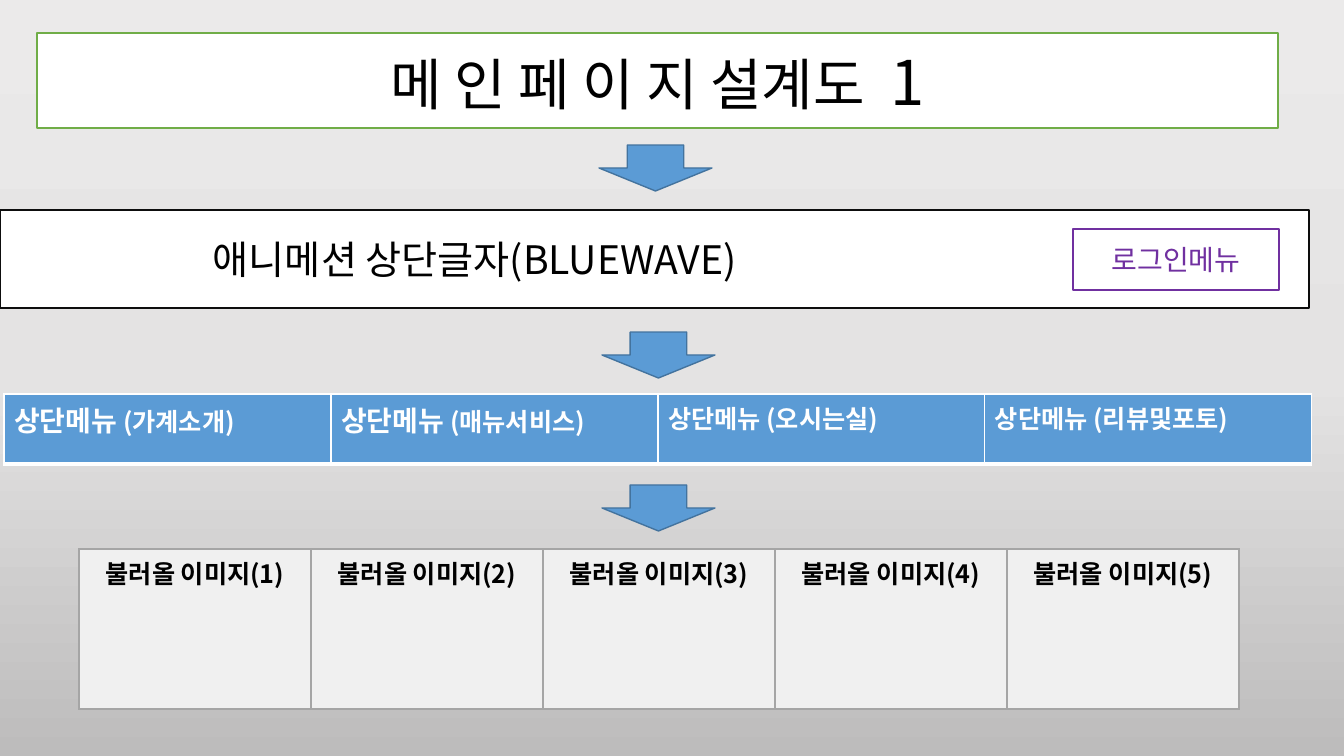
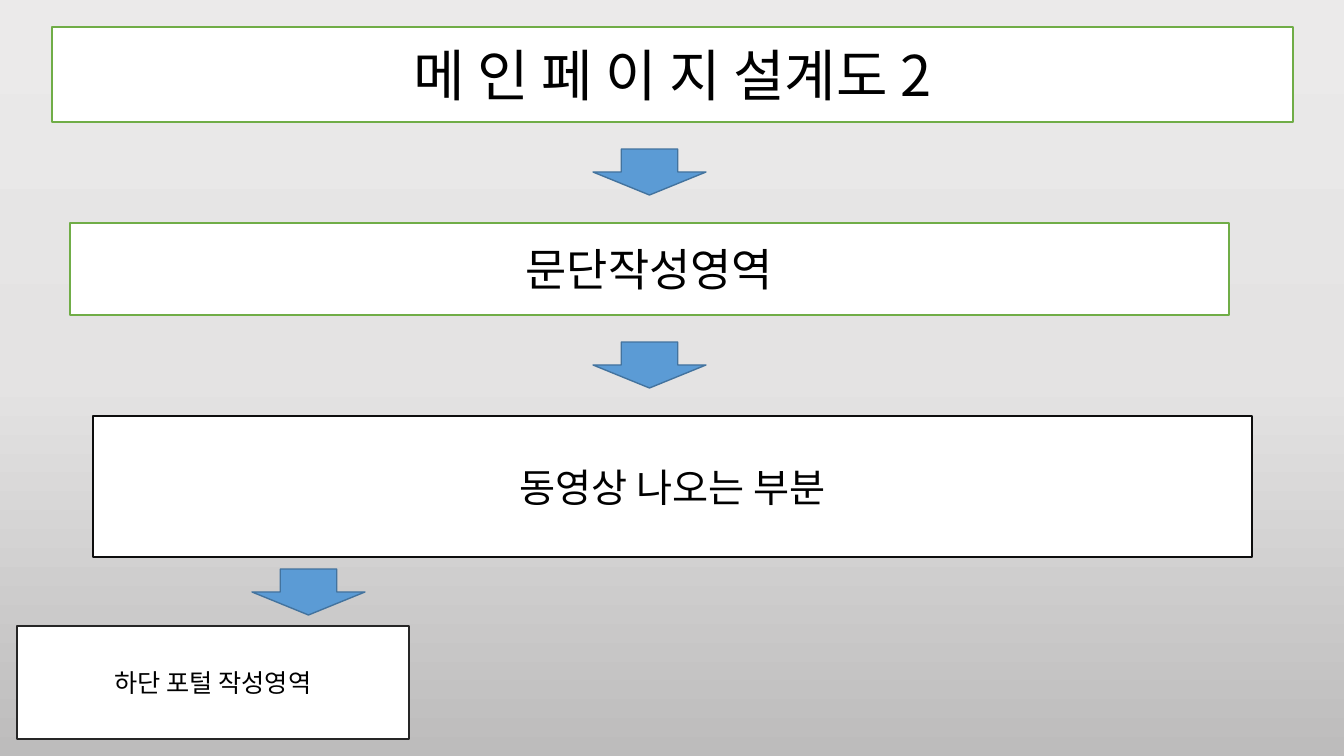
from copy import deepcopy

from lxml import etree
from pptx import Presentation
from pptx.dml.color import RGBColor
from pptx.enum.shapes import MSO_SHAPE
from pptx.enum.text import MSO_ANCHOR, PP_ALIGN
from pptx.oxml.ns import qn
from pptx.util import Pt

RECT, ARROW = MSO_SHAPE.RECTANGLE, MSO_SHAPE.DOWN_ARROW
LEFT, CENTER = PP_ALIGN.LEFT, PP_ALIGN.CENTER
MIDDLE = MSO_ANCHOR.MIDDLE

FACE = "Noto Sans CJK KR"
WHITE, BLACK, INK, DARK = "FFFFFF", "000000", "0D0D0D", "262626"
GREEN, PURPLE, BLUE, NAVY = "70AD47", "7030A0", "5B9BD5", "43739E"
PALE, GRAY = "F0F0F0", "A5A5A5"
STOPS = ((0, "EBEAEA"), (0.5, "E4E3E3"), (1, "BDBCBC"))
WIDE, HIGH = 1344, 756
TITLE = "메 인 페 이 지 설계도"


def px(n):
    return round(n * 12192000 / WIDE)


def rgb(code):
    return RGBColor.from_string(code)


def paint(master):
    """Give the master its gradient, top to bottom."""
    fill = master.background.fill
    fill.gradient()
    fill.gradient_angle = 270
    stops = master.element.find(".//" + qn("a:gsLst"))
    stops.append(deepcopy(stops[-1]))
    for stop, (place, code) in zip(fill.gradient_stops, STOPS):
        stop.position = place
        stop.color.rgb = rgb(code)


def write(frame, runs, size, color=BLACK, align=CENTER, bold=False):
    """Fill one paragraph; each run is (text, own size or None, spacing)."""
    frame.word_wrap = True
    para = frame.paragraphs[0]
    para.alignment = align
    font = para.font
    font.size, font.bold, font.name = Pt(size), bold, FACE
    font.color.rgb = rgb(color)
    etree.SubElement(font._element, qn("a:ea"), typeface=FACE)
    for text, own, gap in runs:
        run = para.add_run()
        run.text = text
        if own:
            run.font.size = Pt(own)
        if gap:
            run.font._element.set("spc", str(gap * 100))


def plain(text):
    return [(text, None, 0)]


def shape(slide, kind, area, fill, line):
    item = slide.shapes.add_shape(kind, *map(px, area))
    item.shadow.inherit = False
    item.fill.solid()
    item.fill.fore_color.rgb = rgb(fill)
    item.line.color.rgb = rgb(line)
    item.line.width = Pt(1)
    return item


def box(slide, area, line, runs, size, color=BLACK, align=CENTER):
    frame = shape(slide, RECT, area, WHITE, line).text_frame
    frame.vertical_anchor = MIDDLE
    write(frame, runs, size, color, align)
    return frame


def title(slide, left, top, runs):
    box(slide, (left, top, 1241, 95), GREEN, runs, 40)


def arrow(slide, left, top):
    shape(slide, ARROW, (left, top, 113, 46), BLUE, NAVY)


def edge(cell, color, base):
    """Draw 1 pt cell borders, with the bottom one base pt wide."""
    props = cell._tc.get_or_add_tcPr()
    for spot, side in enumerate("LRTB"):
        width = Pt(base if side == "B" else 1)
        line = etree.Element(qn("a:ln" + side), w=str(width))
        fill = etree.SubElement(line, qn("a:solidFill"))
        etree.SubElement(fill, qn("a:srgbClr"), val=color)
        props.insert(spot, line)


def row(slide, area, items, fill, line, base, color, align):
    """Add a table of one row with equal columns."""
    table = slide.shapes.add_table(1, len(items), *map(px, area)).table
    table.first_row = table.horz_banding = False
    for col, cell, runs in zip(table.columns, table.rows[0].cells, items):
        col.width = px(area[2] / len(items))
        cell.fill.solid()
        cell.fill.fore_color.rgb = rgb(fill)
        edge(cell, line, base)
        write(cell.text_frame, runs, 18, color, align, True)


def first(slide):
    banner = box(slide, (0, 210, 1309, 98), INK,
                 plain("애니메션 상단글자(BLUEWAVE)"), 28, align=LEFT)
    banner.margin_left = px(213)
    box(slide, (1073, 229, 206, 61), PURPLE, plain("로그인메뉴"), 20, PURPLE)
    menu = [[("상단메뉴", size, 0), (f" ({name})", None, 0)]
            for name, size in (("가계소개", 20), ("매뉴서비스", 20),
                               ("오시는실", None), ("리뷰및포토", None))]
    row(slide, (4, 394, 1308, 70), menu, BLUE, WHITE, 3, WHITE, LEFT)
    views = [plain(f"불러올 이미지({n})") for n in range(1, 6)]
    row(slide, (79, 549, 1160, 160), views, PALE, GRAY, 1, BLACK, CENTER)
    title(slide, 37, 33, [(TITLE, None, 0), (" ", None, 9), ("1", 44, 0)])
    for left, top in ((599, 145), (602, 332), (602, 485)):
        arrow(slide, left, top)


def second(slide):
    title(slide, 52, 27, plain(TITLE + " 2"))
    for area, line, text, size in (
            ((70, 223, 1159, 92), GREEN, "문단작성영역", 32),
            ((93, 416, 1159, 141), INK, "동영상 나오는 부분", 28),
            ((17, 626, 392, 113), DARK, "하단 포털 작성영역", 18)):
        box(slide, area, line, plain(text), size)
    for left, top in ((593, 149), (593, 342), (252, 569)):
        arrow(slide, left, top)


def main():
    deck = Presentation()
    deck.slide_width, deck.slide_height = px(WIDE), px(HIGH)
    paint(deck.slide_master)
    for build in (first, second):
        build(deck.slides.add_slide(deck.slide_layouts[6]))
    deck.save("out.pptx")


if __name__ == "__main__":
    main()
